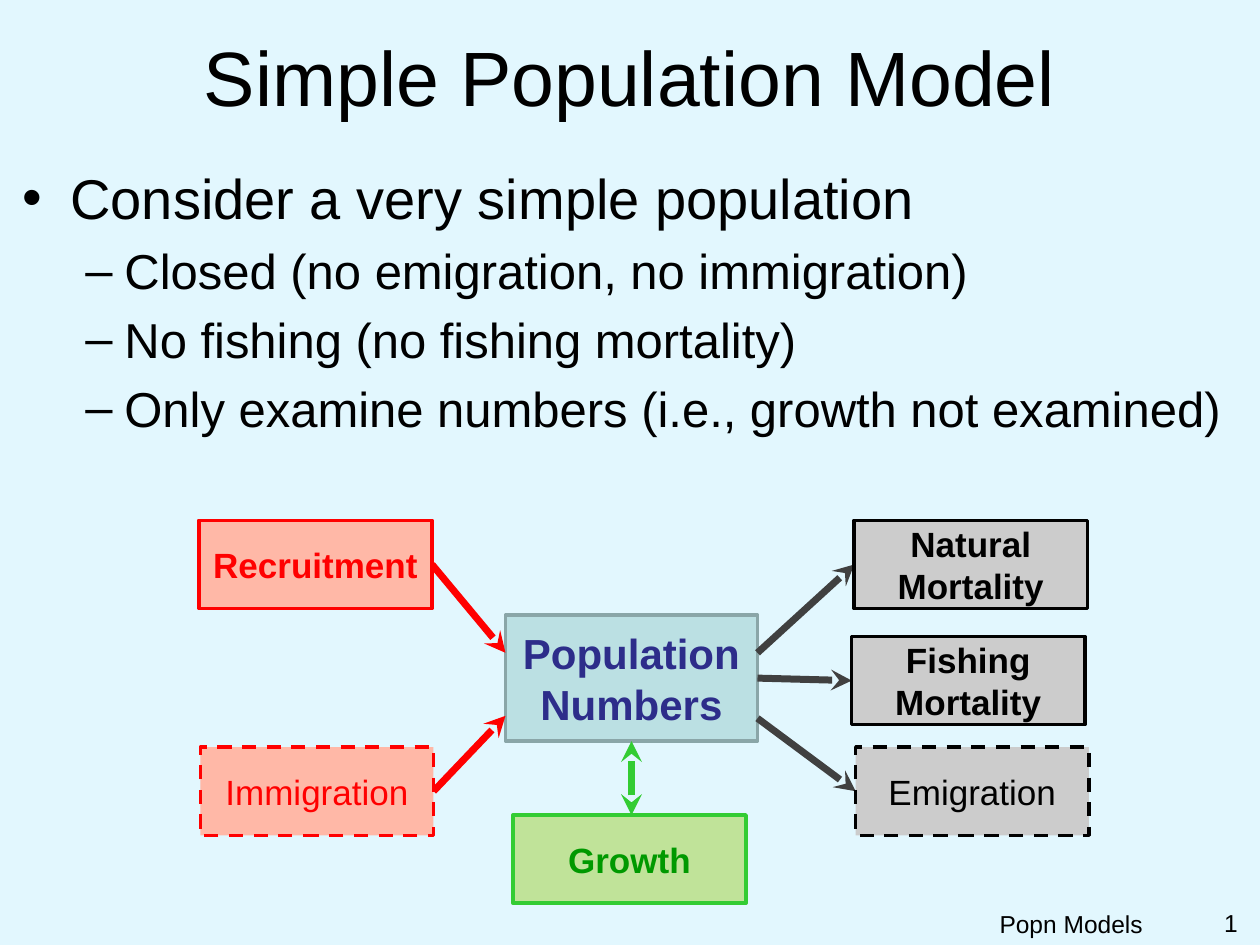
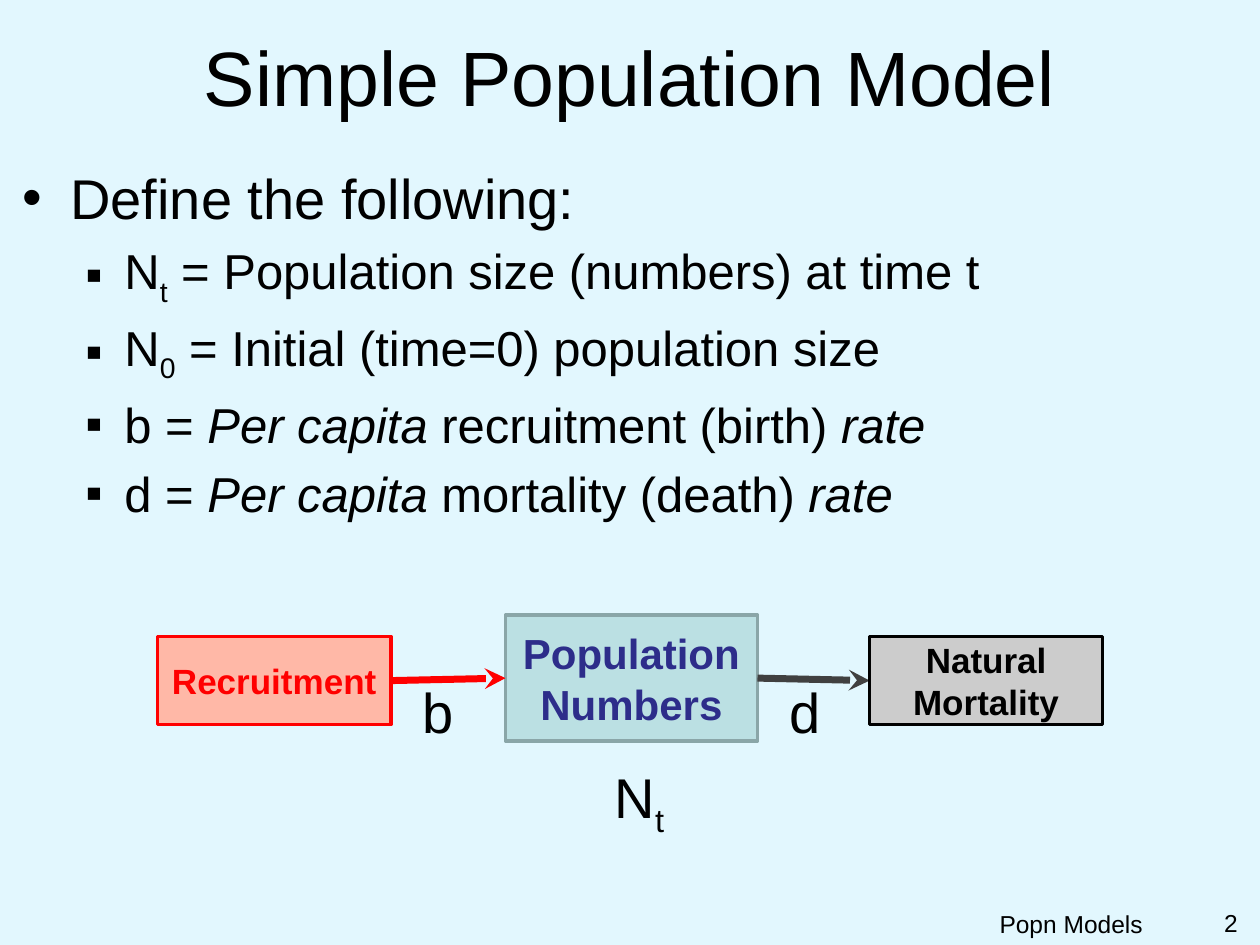
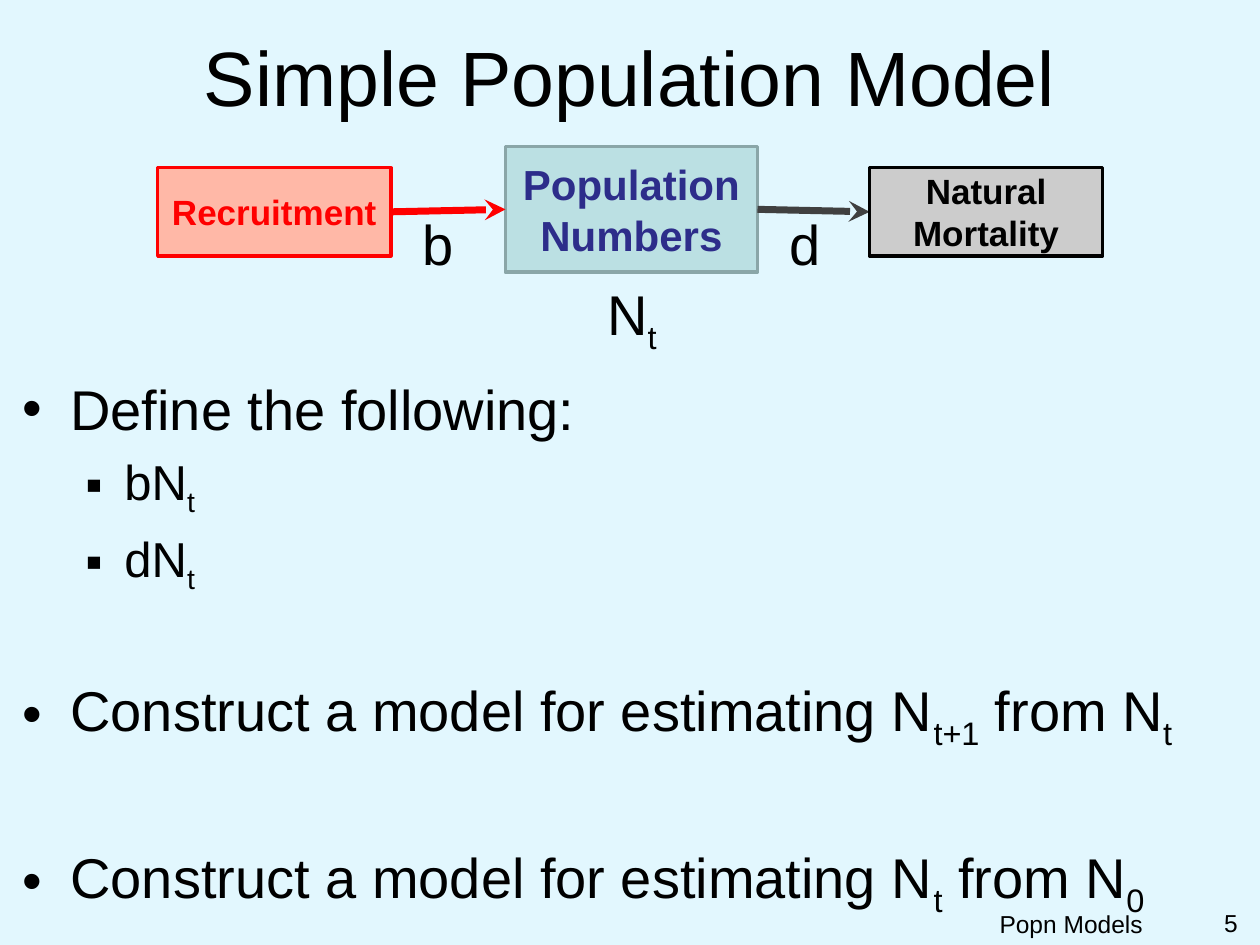
from dataclasses import dataclass

from lxml.etree import SubElement
from pptx import Presentation
from pptx.dml.color import RGBColor
from pptx.enum.dml import MSO_LINE
from pptx.enum.shapes import MSO_CONNECTOR, MSO_SHAPE
from pptx.enum.text import MSO_ANCHOR, MSO_AUTO_SIZE, PP_ALIGN
from pptx.oxml.ns import qn
from pptx.util import Cm, Pt

# Shared style
FONT = "Arial"
TITLE = "Simple Population Model"
FOOTER = "Popn Models"
HEX = {
    "back": "E2F7FE", "black": "000000", "dark": "404040", "grey": "CCCCCC",
    "red": "FF0000", "pink": "FFB8A7", "teal": "BBE0E3", "edge": "8AA6A8",
    "navy": "2D2D8A", "lime": "C0E399", "green": "33CC33", "leaf": "009900",
}
DASH, SQUARE = "–", "▪"


@dataclass(frozen=True)
class Look:
    fill: str
    line: str
    ink: str


GAIN = Look("pink", "red", "red")
LOSS = Look("grey", "black", "black")
GROW = Look("lime", "green", "leaf")
POOL = Look("teal", "edge", "navy")


@dataclass(frozen=True)
class Box:
    text: str
    x: float
    y: float
    look: Look
    shut: bool = False  # dashed outline and regular weight
    w: float = 4.7
    h: float = 1.78
    size: int = 20

    @property
    def mid(self) -> float:
        return self.y + self.h / 2


@dataclass(frozen=True)
class Bit:
    text: str
    sub: bool = False
    slant: bool = False


@dataclass(frozen=True)
class Item:
    bits: tuple
    mark: str = "•"
    gap: int = 0  # points before; 0 means 20 percent of a line


def ink(name: str) -> RGBColor:
    return RGBColor.from_string(HEX[name])


def style(par, size: int, hue: str = "black", bold: bool = False, align=PP_ALIGN.LEFT) -> None:
    par.alignment = align
    font = par.font
    font.name, font.size, font.bold = FONT, Pt(size), bold
    font.color.rgb = ink(hue)


def add_bits(par, bits: tuple) -> None:
    for bit in bits:
        run = par.add_run()
        run.text = bit.text
        if bit.slant:
            run.font.italic = True
        if bit.sub:
            run._r.get_or_add_rPr().set("baseline", "-25000")


def add_text(slide, bits: tuple, x: float, y: float, w: float, h: float,
             size: int, align=PP_ALIGN.LEFT, wrap: bool = True) -> None:
    frame = slide.shapes.add_textbox(Cm(x), Cm(y), Cm(w), Cm(h)).text_frame
    frame.word_wrap = wrap
    if not wrap:
        frame.auto_size = MSO_AUTO_SIZE.SHAPE_TO_FIT_TEXT
    par = frame.paragraphs[0]
    add_bits(par, bits)
    style(par, size, align=align)


def add_list(slide, items: list, y: float, h: float) -> None:
    frame = slide.shapes.add_textbox(Cm(0.2), Cm(y), Cm(24.97), Cm(h)).text_frame
    frame.word_wrap = True
    for i, item in enumerate(items):
        par = frame.add_paragraph() if i else frame.paragraphs[0]
        top = item.mark == "•"
        left, hang, size = (0.97, 0.97, 32) if top else (2.06, 0.79, 28)
        props = par._p.get_or_add_pPr()
        props.set("marL", str(Cm(left)))
        props.set("indent", str(-Cm(hang)))
        if item.gap:
            par.space_before = Pt(item.gap)
        else:
            SubElement(SubElement(props, qn("a:spcBef")), qn("a:spcPct")).set("val", "20000")
        SubElement(props, qn("a:buFont")).set("typeface", FONT)
        SubElement(props, qn("a:buChar")).set("char", item.mark)
        add_bits(par, item.bits)
        style(par, size)


def add_box(slide, box: Box) -> None:
    shape = slide.shapes.add_shape(MSO_SHAPE.RECTANGLE, Cm(box.x), Cm(box.y), Cm(box.w), Cm(box.h))
    shape.shadow.inherit = False
    shape.fill.solid()
    shape.fill.fore_color.rgb = ink(box.look.fill)
    shape.line.color.rgb = ink(box.look.line)
    shape.line.width = Pt(2)
    if box.shut:
        shape.line.dash_style = MSO_LINE.DASH
    frame = shape.text_frame
    frame.word_wrap = True
    frame.vertical_anchor = MSO_ANCHOR.MIDDLE
    frame.text = box.text
    for par in frame.paragraphs:
        style(par, box.size, box.look.ink, not box.shut, PP_ALIGN.CENTER)


def add_arrow(slide, start: tuple, end: tuple, hue: str, ends: tuple = ("tailEnd",)) -> None:
    link = slide.shapes.add_connector(MSO_CONNECTOR.STRAIGHT, *map(Cm, start + end))
    link.line.color.rgb = ink(hue)
    link.line.width = Pt(4)
    for tip in ends:
        SubElement(link.line._get_or_add_ln(), qn("a:" + tip)).set("type", "stealth")
    SubElement(link._element.spPr, qn("a:effectLst"))


def add_pool(slide, y: float) -> Box:
    pool = Box("Population\nNumbers", 10.19, y, POOL, w=5.08, h=2.54, size=24)
    add_box(slide, pool)
    return pool


def link_in(slide, box: Box, pool: Box, y: float) -> None:
    add_arrow(slide, (box.x + box.w, box.mid), (pool.x, y), "red")
    add_box(slide, box)


def link_out(slide, box: Box, pool: Box, y: float) -> None:
    add_arrow(slide, (pool.x + pool.w, y), (box.x, box.mid), "dark")
    add_box(slide, box)


def add_flow(slide, y: float, name_x: float, name_y: float) -> None:
    """Draw recruitment, population and mortality in one row."""
    pool = add_pool(slide, y)
    link_in(slide, Box("Recruitment", 3.18, y + 0.43, GAIN), pool, pool.mid)
    link_out(slide, Box("Natural Mortality", 17.53, y + 0.43, LOSS), pool, pool.mid)
    for rate, x in (("b", 8.26), ("d", 15.67)):
        add_text(slide, (Bit(rate),), x, y + 1.14, 1.14, 1.63, 32, wrap=False)
    add_text(slide, (Bit("N"), Bit("t", sub=True)), name_x, name_y, 1.55, 1.63, 32, wrap=False)


def add_slide(deck, page: int):
    slide = deck.slides.add_slide(deck.slide_layouts[5])
    title = slide.shapes.title
    title.left, title.top, title.width, title.height = map(Cm, (0.18, 0.33, 25.04, 2.41))
    frame = title.text_frame
    frame.text = TITLE
    frame.auto_size = MSO_AUTO_SIZE.NONE
    frame.vertical_anchor = MSO_ANCHOR.MIDDLE
    style(frame.paragraphs[0], 44, align=PP_ALIGN.CENTER)
    add_text(slide, (Bit(FOOTER),), 15.24, 18.21, 8.05, 0.64, 14, PP_ALIGN.RIGHT)
    add_text(slide, (Bit(str(page)),), 23.5, 18.19, 1.7, 0.86, 14, PP_ALIGN.RIGHT)
    return slide


def add_scope(deck) -> None:
    slide = add_slide(deck, 1)
    points = ("Closed (no emigration, no immigration)", "No fishing (no fishing mortality)",
              "Only examine numbers (i.e., growth not examined)")
    add_list(slide, [Item((Bit("Consider a very simple population"),)),
                     *(Item((Bit(text),), DASH) for text in points)], 3.18, 6.35)
    pool = add_pool(slide, 12.4)
    link_in(slide, Box("Recruitment", 4.01, 10.49, GAIN), pool, 13.16)
    link_in(slide, Box("Immigration", 4.04, 15.06, GAIN, True), pool, 14.43)
    link_out(slide, Box("Natural Mortality", 17.22, 10.49, LOSS), pool, 13.16)
    link_out(slide, Box("Fishing Mortality", 17.17, 12.83, LOSS), pool, pool.mid)
    link_out(slide, Box("Emigration", 17.25, 15.06, LOSS, True), pool, 14.48)
    growth = Box("Growth", 10.34, 16.43, GROW)
    axis = pool.x + pool.w / 2
    add_arrow(slide, (axis, growth.y), (axis, pool.y + pool.h), "green", ("headEnd", "tailEnd"))
    add_box(slide, growth)


def add_terms(deck) -> None:
    slide = add_slide(deck, 2)
    sizes = (("t", " = Population size (numbers) at time t"),
             ("0", " = Initial (time=0) population size"))
    rates = (("b = ", "recruitment (birth) "), ("d = ", "mortality (death) "))
    add_list(slide, [
        Item((Bit("Define the following:"),)),
        *(Item((Bit("N"), Bit(time, sub=True), Bit(text)), SQUARE) for time, text in sizes),
        *(Item((Bit(name), Bit("Per capita ", slant=True), Bit(text), Bit("rate", slant=True)), SQUARE)
          for name, text in rates),
    ], 3.18, 7.82)
    add_flow(slide, 12.4, 12.14, 15.24)


def add_tasks(deck) -> None:
    slide = add_slide(deck, 5)
    tasks = (("t+1", "t", 46), ("t", "0", 52))
    add_list(slide, [
        Item((Bit("Define the following:"),)),
        *(Item((Bit(name), Bit("t", sub=True)), SQUARE) for name in ("bN", "dN")),
        *(Item((Bit("Construct a model for estimating N"), Bit(goal, sub=True),
                Bit(" from N"), Bit(base, sub=True)), gap=gap) for goal, base, gap in tasks),
    ], 7.42, 11)
    add_flow(slide, 2.95, 11.99, 5.51)


def main() -> None:
    deck = Presentation()
    deck.slide_width, deck.slide_height = Cm(25.4), Cm(19.05)
    fill = deck.slide_master.background.fill
    fill.solid()
    fill.fore_color.rgb = ink("back")
    for build in (add_scope, add_terms, add_tasks):
        build(deck)
    deck.save("out.pptx")


if __name__ == "__main__":
    main()
